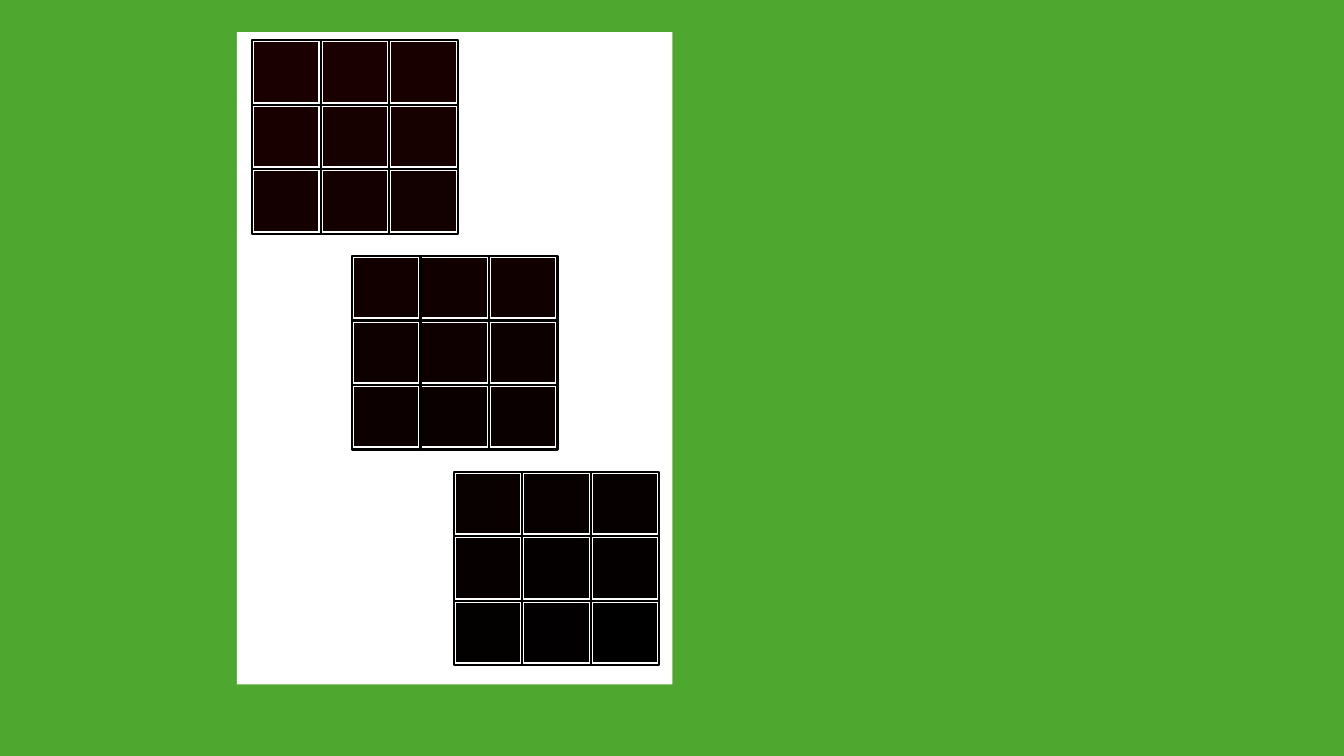
from dataclasses import dataclass
from itertools import product

from pptx import Presentation
from pptx.dml.color import RGBColor
from pptx.enum.shapes import MSO_SHAPE
from pptx.shapes.shapetree import GroupShapes
from pptx.util import Inches, Pt

RECTANGLE = MSO_SHAPE.RECTANGLE
GREEN = RGBColor(0x4E, 0xA7, 0x2E)
WHITE = RGBColor(0xFF, 0xFF, 0xFF)
BLACK = RGBColor(0x00, 0x00, 0x00)

# Grid measures in inches
SIDE = 3
COLUMN, ROW = 0.68, 0.64
INSET = 0.01
TILE_WIDTH, TILE_HEIGHT = 0.66, 0.61
BLOCK_TOP, BLOCK_PITCH = 0.4, 2.14
BLOCK_LEFTS = (2.5, 3.49, 4.5)
DARKEST_RED = 1
BRIGHTEST_RED = DARKEST_RED + len(BLOCK_LEFTS) * SIDE * SIDE - 1


@dataclass(frozen=True)
class Box:
    left: float
    top: float
    width: float
    height: float
    fill: RGBColor | None = None
    line: RGBColor | None = None


def draw_box(shapes: GroupShapes, box: Box) -> None:
    """Draw a plain rectangle, with or without fill and outline."""
    lengths = (box.left, box.top, box.width, box.height)
    shape = shapes.add_shape(RECTANGLE, *map(Inches, lengths))
    shape.shadow.inherit = False
    for part, color in ((shape.fill, box.fill), (shape.line.fill, box.line)):
        if color is None:
            part.background()
        else:
            part.solid()
            part.fore_color.rgb = color
    if box.line is not None:
        shape.line.width = Pt(1.5)


def draw_block(shapes: GroupShapes, left: float, top: float, red: int) -> None:
    """Draw a square of framed tiles, each one step darker than the last."""
    for step, (row, column) in enumerate(product(range(SIDE), repeat=2)):
        x, y = left + column * COLUMN, top + row * ROW
        tile_color = RGBColor(red - step, 0, 0)
        draw_box(shapes, Box(x + INSET, y + INSET, TILE_WIDTH, TILE_HEIGHT,
                             tile_color, WHITE))
        draw_box(shapes, Box(x, y, COLUMN, ROW, line=BLACK))


def main() -> None:
    deck = Presentation()
    deck.slide_width, deck.slide_height = Inches(13.33), Inches(7.5)
    blank_layout = deck.slide_layouts[6]
    page = deck.slides.add_slide(blank_layout)

    # Green background
    page.background.fill.solid()
    page.background.fill.fore_color.rgb = GREEN

    # White panel with a diagonal of three blocks
    panel = page.shapes.add_group_shape().shapes
    draw_box(panel, Box(2.35, 0.32, 4.32, 6.47, WHITE))
    for index, left in enumerate(BLOCK_LEFTS):
        draw_block(panel, left, BLOCK_TOP + index * BLOCK_PITCH,
                   BRIGHTEST_RED - index * SIDE * SIDE)

    deck.save("out.pptx")


if __name__ == "__main__":
    main()
